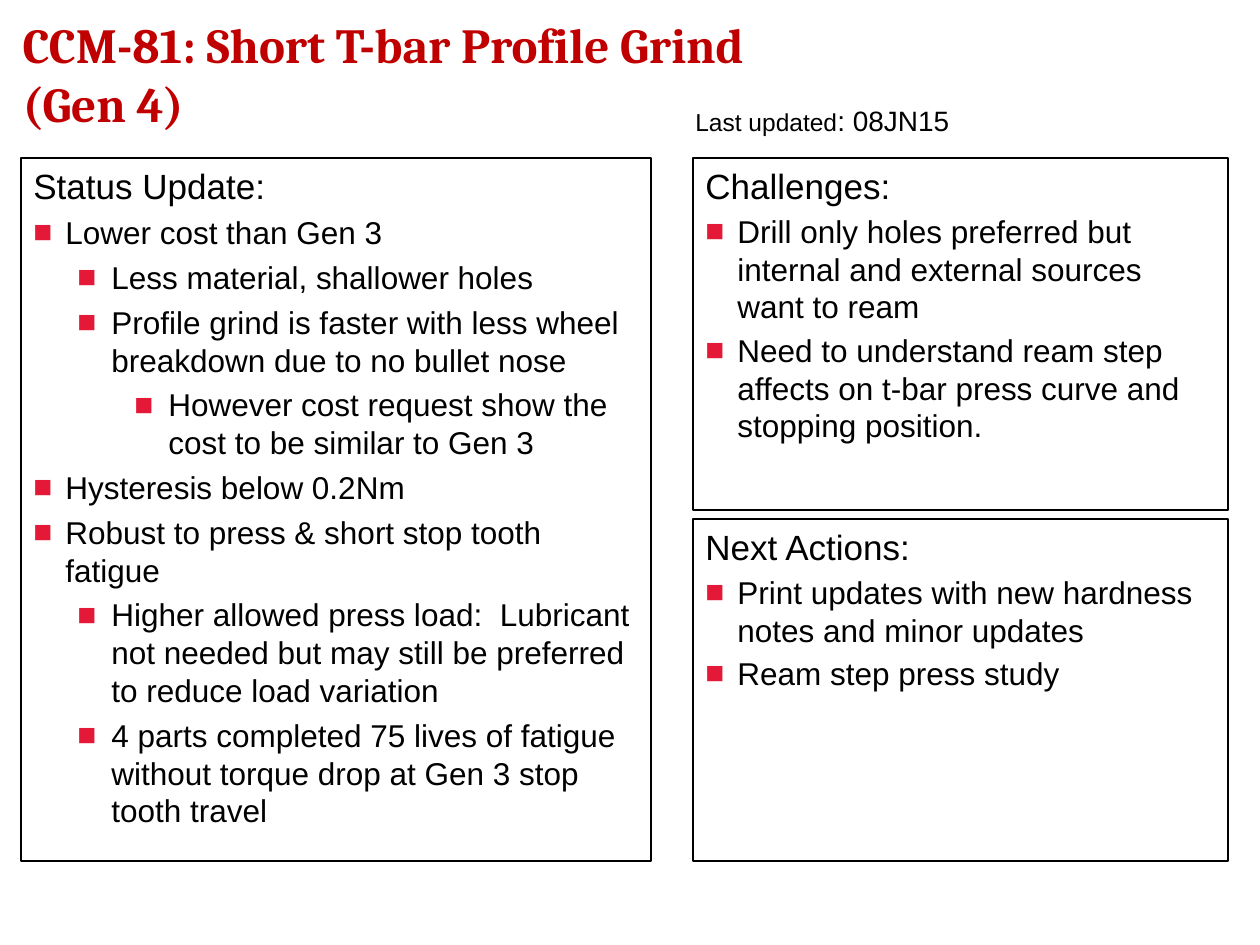
from lxml.etree import SubElement
from pptx import Presentation
from pptx.dml.color import RGBColor
from pptx.enum.shapes import MSO_SHAPE
from pptx.enum.text import MSO_ANCHOR, PP_ALIGN
from pptx.oxml.ns import qn
from pptx.util import Emu, Pt

COLORS = {"title": "C00000", "text": "000000", "bullet": "E31937"}
INDENTS = [(32, -32), (78, -34), (135, -34)]  # left margin and hanging indent by level

STATUS = [
    (0, "Lower cost than Gen 3"),
    (1, "Less material, shallower holes"),
    (1, "Profile grind is faster with less wheel breakdown due to no bullet nose"),
    (2, "However cost request show the cost to be similar to Gen 3"),
    (0, "Hysteresis below 0.2Nm"),
    (0, "Robust to press & short stop tooth fatigue"),
    (1, "Higher allowed press load:  Lubricant not needed but may still be "
        "preferred to reduce load variation"),
    (1, "4 parts completed 75 lives of fatigue without torque drop at Gen 3 "
        "stop tooth travel"),
]
CHALLENGES = [
    (0, "Drill only holes preferred but internal and external sources want to ream"),
    (0, "Need to understand ream step affects on t-bar press curve and stopping position."),
]
ACTIONS = [
    (0, "Print updates with new hardness notes and minor updates"),
    (0, "Ream step press study"),
]


def px(length):
    return Emu(round(length * 914400 / 126))


def color(name):
    return RGBColor.from_string(COLORS[name])


def style(font, size, name="Arial", shade="text", bold=False):
    font.size, font.name, font.bold = Pt(size), name, bold
    font.color.rgb = color(shade)


def add_bullet(para, level):
    para.level = level
    margin, indent = INDENTS[level]
    props = para._p.get_or_add_pPr()
    props.set("marL", str(px(margin)))
    props.set("indent", str(px(indent)))
    bullet_color = SubElement(props, qn("a:buClr"))
    SubElement(bullet_color, qn("a:srgbClr"), val=COLORS["bullet"])
    SubElement(props, qn("a:buFont"), typeface="Arial")
    SubElement(props, qn("a:buChar"), char="■")


def add_title(page, box, text):
    title = page.shapes.title
    title.left, title.top, title.width, title.height = map(px, box)
    frame = title.text_frame
    frame.text = text
    frame.vertical_anchor = MSO_ANCHOR.MIDDLE
    para = frame.paragraphs[0]
    para.alignment = PP_ALIGN.LEFT
    style(para.runs[0].font, 28, "Cambria", "title", True)


def add_date(page, box, label, date):
    frame = page.shapes.add_textbox(*map(px, box)).text_frame
    frame.word_wrap = True
    for text, size in ((label, 14), (date, 16)):
        span = frame.paragraphs[0].add_run()
        span.text = text
        style(span.font, size)


def add_panel(page, box, heading, items, gap):
    """Outlined box with a heading and bullets set apart by gap points."""
    panel = page.shapes.add_shape(MSO_SHAPE.RECTANGLE, *map(px, box))
    panel.shadow.inherit = False
    panel.fill.background()
    panel.line.color.rgb = color("text")
    panel.line.width = Pt(0.75)
    frame = panel.text_frame
    frame.word_wrap = True
    frame.vertical_anchor = MSO_ANCHOR.TOP
    frame.text = heading
    style(frame.paragraphs[0].runs[0].font, 20)
    for level, text in items:
        para = frame.add_paragraph()
        para.text = text
        para.space_before = Pt(gap)
        add_bullet(para, level)
        style(para.runs[0].font, 18)
    for para in frame.paragraphs:
        para.alignment = PP_ALIGN.LEFT


def main():
    deck = Presentation()
    deck.slide_width, deck.slide_height = px(1260), px(945)
    page = deck.slides.add_slide(deck.slide_layouts[5])
    add_title(page, (10, 10, 840, 126), "CCM-81: Short T-bar Profile Grind (Gen 4)")
    add_date(page, (683, 97, 504, 50), "Last updated", ": 08JN15")
    add_panel(page, (21, 158, 630, 703), "Status Update:", STATUS, 4)
    add_panel(page, (693, 158, 535, 352), "Challenges:", CHALLENGES, 3.2)
    add_panel(page, (693, 519, 535, 342), "Next Actions:", ACTIONS, 3.2)
    deck.save("out.pptx")


if __name__ == "__main__":
    main()
